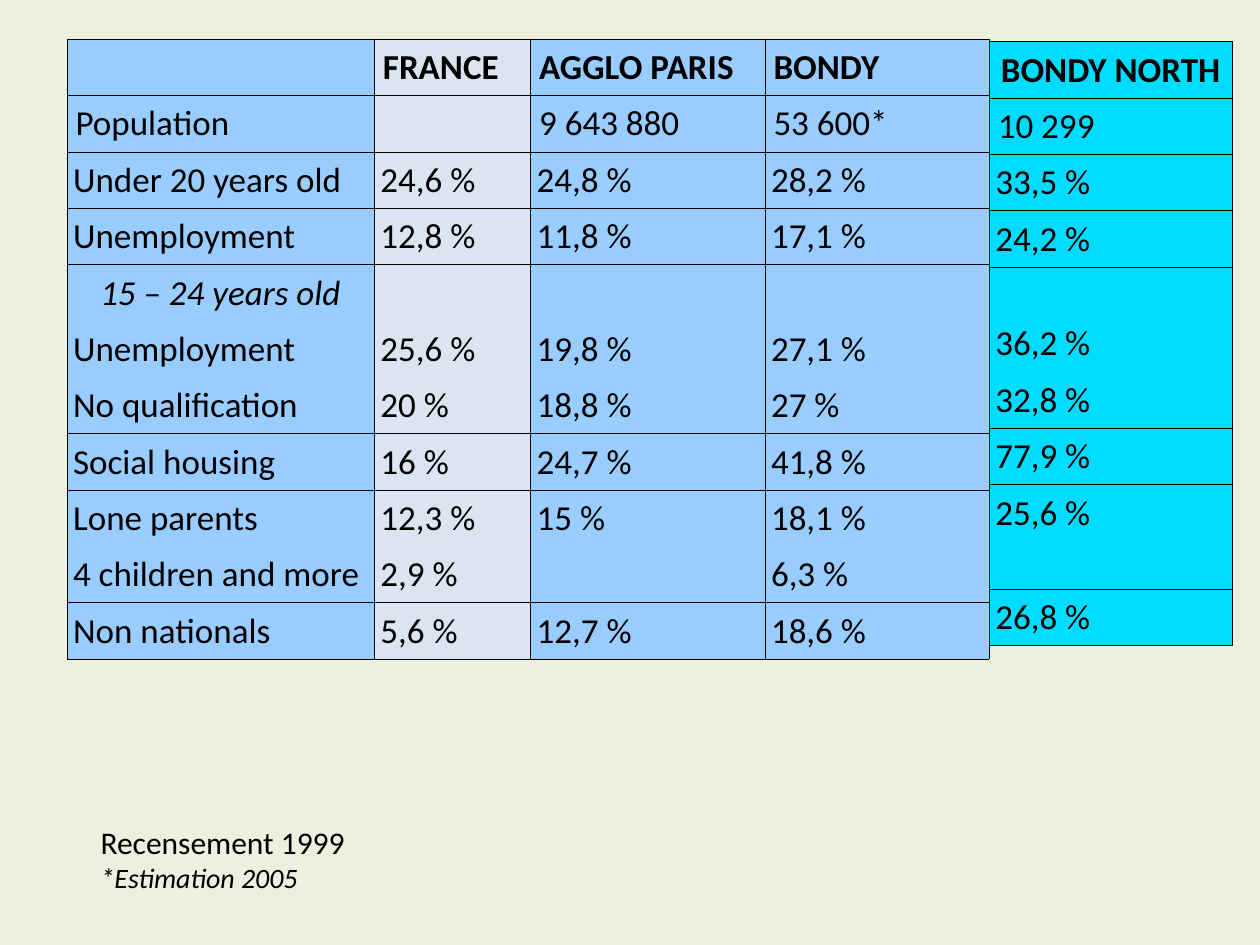
import lxml.etree
import pptx
import pptx.dml.color
import pptx.enum.text
import pptx.oxml.ns
import pptx.util

COLORS = {"page": "EBF1DE", "blue": "99CCFF", "pale": "DBE5F1",
          "cyan": "00DCFF", "ink": "000000"}
FONT = "Calibri"
ALIGN = pptx.enum.text.PP_ALIGN
ANCHOR = pptx.enum.text.MSO_ANCHOR
qn = pptx.oxml.ns.qn
rgb = pptx.dml.color.RGBColor.from_string

prs = pptx.Presentation()
prs.slide_width, prs.slide_height = pptx.util.Inches(10), pptx.util.Inches(7.5)
UNIT = prs.slide_width // 100  # the grid: 100 columns by 75 rows
ROW = 3.6

s = prs.slides.add_slide(prs.slide_layouts[6])
s.background.fill.solid()
s.background.fill.fore_color.rgb = rgb(COLORS["page"])


def add_run(p, text, **formats):
    r = p.add_run()
    r.text = text
    r.font.color.rgb = rgb(COLORS["ink"])
    for name, value in {"name": FONT, **formats}.items():
        setattr(r.font, name, value)


def set_borders(cell, visible):
    """Draw a hairline on the sides named in visible (L, R, T, B) and hide the others."""
    tc_pr = cell._tc.get_or_add_tcPr()
    for side in "LRTB":
        ln = lxml.etree.SubElement(tc_pr, qn(f"a:ln{side}"), w=str(pptx.util.Pt(0.23)))
        if side in visible:
            fill = lxml.etree.SubElement(ln, qn("a:solidFill"))
            lxml.etree.SubElement(fill, qn("a:srgbClr"), val=COLORS["ink"])
        else:
            lxml.etree.SubElement(ln, qn("a:noFill"))


city_rows = [
    ["", "FRANCE", "AGGLO PARIS", "BONDY"],
    ["Population", "", "9 643 880", "53 600*"],
    ["Under 20 years old", "24,6 %", "24,8 %", "28,2 %"],
    ["Unemployment", "12,8 %", "11,8 %", "17,1 %"],
    ["15 – 24 years old", "", "", ""],
    ["Unemployment", "25,6 %", "19,8 %", "27,1 %"],
    ["No qualification", "20 %", "18,8 %", "27 %"],
    ["Social housing", "16 %", "24,7 %", "41,8 %"],
    ["Lone parents", "12,3 %", "15 %", "18,1 %"],
    ["4 children and more", "2,9 %", "", "6,3 %"],
    ["Non nationals", "5,6 %", "12,7 %", "18,6 %"],
]
north_rows = [[text] for text in (
    "BONDY NORTH", "10 299", "33,5 %", "24,2 %", "", "36,2 %", "32,8 %",
    "77,9 %", "25,6 %", "", "26,8 %")]
OPEN_BELOW = {4, 5, 8}  # rows joined to the next one without a line
CENTERED = {"15 – 24 years old", "BONDY NORTH"}

# left, top, column widths, column fills, vertical anchor, rows
tables = [
    (5.3, 3.1, [24.4, 12.4, 18.6, 17.8], ["blue", "pale", "blue", "blue"],
     ANCHOR.MIDDLE, city_rows),
    (78.5, 3.3, [19.3], ["cyan"], ANCHOR.TOP, north_rows),
]
for left, top, widths, fills, anchor, rows in tables:
    box = [int(n * UNIT) for n in (left, top, sum(widths), ROW * len(rows))]
    table = s.shapes.add_table(len(rows), len(widths), *box).table
    table.first_row = table.horz_banding = False
    for column, width in zip(table.columns, widths):
        column.width = int(width * UNIT)
    for i, texts in enumerate(rows):
        table.rows[i].height = int((ROW if any(texts) else 3.85) * UNIT)
        for j, text in enumerate(texts):
            cell = table.cell(i, j)
            set_borders(cell, "LR" + "T" * (i - 1 not in OPEN_BELOW)
                        + "B" * (i not in OPEN_BELOW))
            cell.fill.solid()
            cell.fill.fore_color.rgb = rgb(COLORS[fills[j]])
            cell.vertical_anchor = anchor
            cell.margin_left = cell.margin_right = int((0.7 if i < 2 else 0.5) * UNIT)
            p = cell.text_frame.paragraphs[0]
            if not text:
                lxml.etree.SubElement(p._p, qn("a:endParaRPr"), sz="1200")
                continue
            p.line_spacing = 1.02
            p.space_after = pptx.util.Pt(14.3)
            if text in CENTERED:
                p.alignment = ALIGN.CENTER
            add_run(p, text, size=pptx.util.Pt(20), bold=i == 0,
                    italic=text.startswith("15 –"))

tf = s.shapes.add_textbox(*[int(n * UNIT) for n in (7, 64.8, 48.4, 6.7)]).text_frame
tf.word_wrap = True
add_run(tf.paragraphs[0], "Recensement 1999", size=pptx.util.Pt(18))
add_run(tf.add_paragraph(), "*Estimation 2005", size=pptx.util.Pt(16), italic=True)

prs.save("out.pptx")
